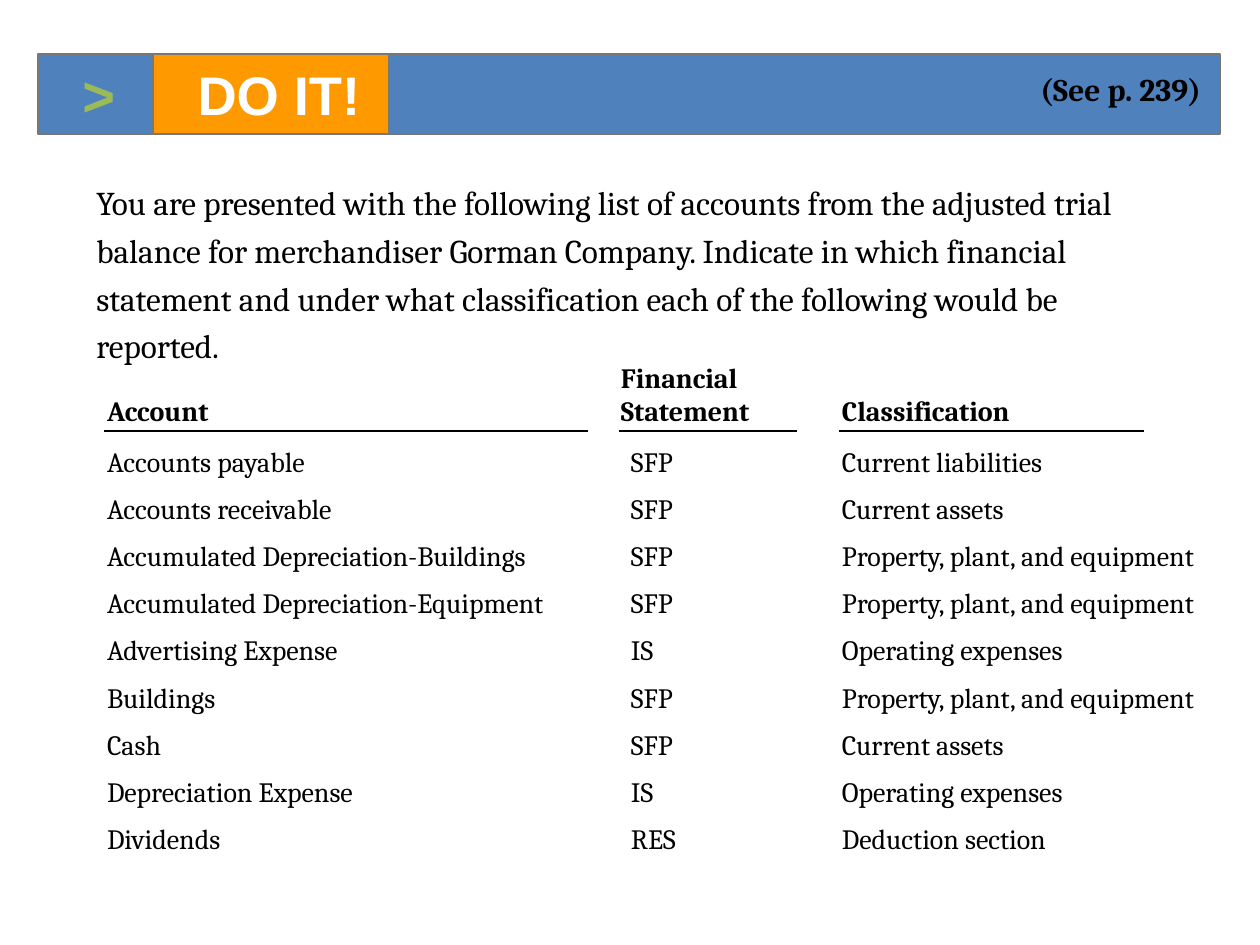
from lxml import etree
from pptx import Presentation
from pptx import util as u
from pptx.dml.color import RGBColor
from pptx.enum import shapes, text
from pptx.oxml.ns import qn

BLACK = RGBColor(0x00, 0x00, 0x00)
WHITE = RGBColor(0xFF, 0xFF, 0xFF)
BLUE = RGBColor(0x4F, 0x81, 0xBD)
ORANGE = RGBColor(0xFF, 0x99, 0x00)
GREEN = RGBColor(0x9B, 0xBB, 0x59)
GREY = RGBColor(0x77, 0x77, 0x77)
NO_STYLE = "{2D5ABB26-0587-4C30-8999-92F81FD0307C}"

INTRO = ("You are presented with the following list of accounts from the adjusted trial "
         "balance for merchandiser Gorman Company. Indicate in which financial statement "
         "and under what classification each of the following would be reported.")
PPE = "Property, plant, and equipment"
ROWS = [
    ("Account", "Financial Statement", "Classification"),
    ("Accounts payable", "SFP", "Current liabilities"),
    ("Accounts receivable", "SFP", "Current assets"),
    ("Accumulated Depreciation-Buildings", "SFP", PPE),
    ("Accumulated Depreciation-Equipment", "SFP", PPE),
    ("Advertising Expense", "IS", "Operating expenses"),
    ("Buildings", "SFP", PPE),
    ("Cash", "SFP", "Current assets"),
    ("Depreciation Expense", "IS", "Operating expenses"),
    ("Dividends", "RES", "Deduction section"),
]


def px(n):
    """Turn pixels into EMU at 126 pixels to the inch."""
    return round(n * 914400 / 126)


def write(tf, words, size, color=BLACK, name="Cambria", bold=False, indent=0):
    """Put one left-aligned paragraph into a text frame."""
    tf.word_wrap = True
    p = tf.paragraphs[0]
    p.alignment = text.PP_ALIGN.LEFT
    if indent:
        p._p.get_or_add_pPr().set("marL", str(px(indent)))
    r = p.add_run()
    r.text = words
    for key, value in dict(size=u.Pt(size), name=name, bold=bold).items():
        setattr(r.font, key, value)
    r.font.color.rgb = color
    return p


def paint(sp, fill):
    """Fill a banner part and give it the grey outline."""
    sp.fill.solid()
    sp.fill.fore_color.rgb = fill
    sp.line.color.rgb = GREY
    sp.line.width = u.Pt(1)
    sp.text_frame.vertical_anchor = text.MSO_ANCHOR.MIDDLE


def add_banner(s, x, y, w, h):
    """Draw the banner with its chevron, title and page reference."""
    bar = s.shapes.add_shape(shapes.MSO_SHAPE.RECTANGLE, px(x), px(y), px(w), px(h))
    bar.shadow.inherit = False
    paint(bar, BLUE)
    write(bar.text_frame, ">", 32, GREEN, "Arial", True, 32)

    title = s.shapes.title
    title.left, title.top, title.width, title.height = px(x + 115), px(y), px(236), px(h)
    paint(title, ORANGE)
    title.text_frame.auto_size = text.MSO_AUTO_SIZE.NONE
    write(title.text_frame, "DO IT!", 31, WHITE, "Arial", True, 32)
    bar._element.addnext(title._element)

    ref = s.shapes.add_textbox(px(x + w - 192), px(y + 10), px(217), px(50))
    write(ref.text_frame, "(See p. 239)", 18, bold=True)


def add_intro(s, x, y, w, h):
    """Place the exercise instructions."""
    sp = s.shapes.add_textbox(px(x), px(y), px(w), px(h))
    sp.fill.solid()
    sp.fill.fore_color.rgb = WHITE
    write(sp.text_frame, INTRO, 19).line_spacing = 1.2


def add_accounts(s, x, y, w, h):
    """Place the accounts table and the rules under its headings."""
    head = 91
    widths = (514, 221, w - 735)
    frame = s.shapes.add_table(len(ROWS), len(widths), px(x), px(y), px(w), px(h))
    table = frame.table
    table.first_row = table.horz_banding = False
    table._tbl.tblPr.find(qn("a:tableStyleId")).text = NO_STYLE
    for column, width in zip(table.columns, widths):
        column.width = px(width)
    for i, row in enumerate(ROWS):
        is_head = i == 0
        table.rows[i].height = px(head if is_head else (h - head) / (len(ROWS) - 1))
        for j, words in enumerate(row):
            cell = table.cell(i, j)
            cell.fill.background()
            margins = dict(margin_left=px(23 if j == 1 and not is_head else 13),
                           margin_right=0, margin_top=px(0 if is_head else 6),
                           margin_bottom=px(13 if is_head else 0))
            for key, value in margins.items():
                setattr(cell, key, value)
            cell.vertical_anchor = text.MSO_ANCHOR.BOTTOM if is_head else text.MSO_ANCHOR.TOP
            write(cell.text_frame, words, 16, bold=is_head)

    for left, right in ((10, 494), (525, 703), (745, 1050)):
        rule = s.shapes.add_connector(shapes.MSO_CONNECTOR.STRAIGHT, px(x + left),
                                      px(y + 81), px(x + right), px(y + 81))
        rule.line.color.rgb = BLACK
        rule.line.width = u.Pt(1.5)
        etree.SubElement(rule._element.spPr, qn("a:effectLst"))


def main():
    """Build the slide and save it."""
    prs = Presentation()
    prs.slide_width, prs.slide_height = px(1260), px(945)
    s = prs.slides.add_slide(prs.slide_layouts[5])
    add_intro(s, 84, 168, 1103, 207)
    add_accounts(s, 94, 350, 1166, 516)
    add_banner(s, 38, 54, 1182, 80)
    prs.save("out.pptx")


if __name__ == "__main__":
    main()
